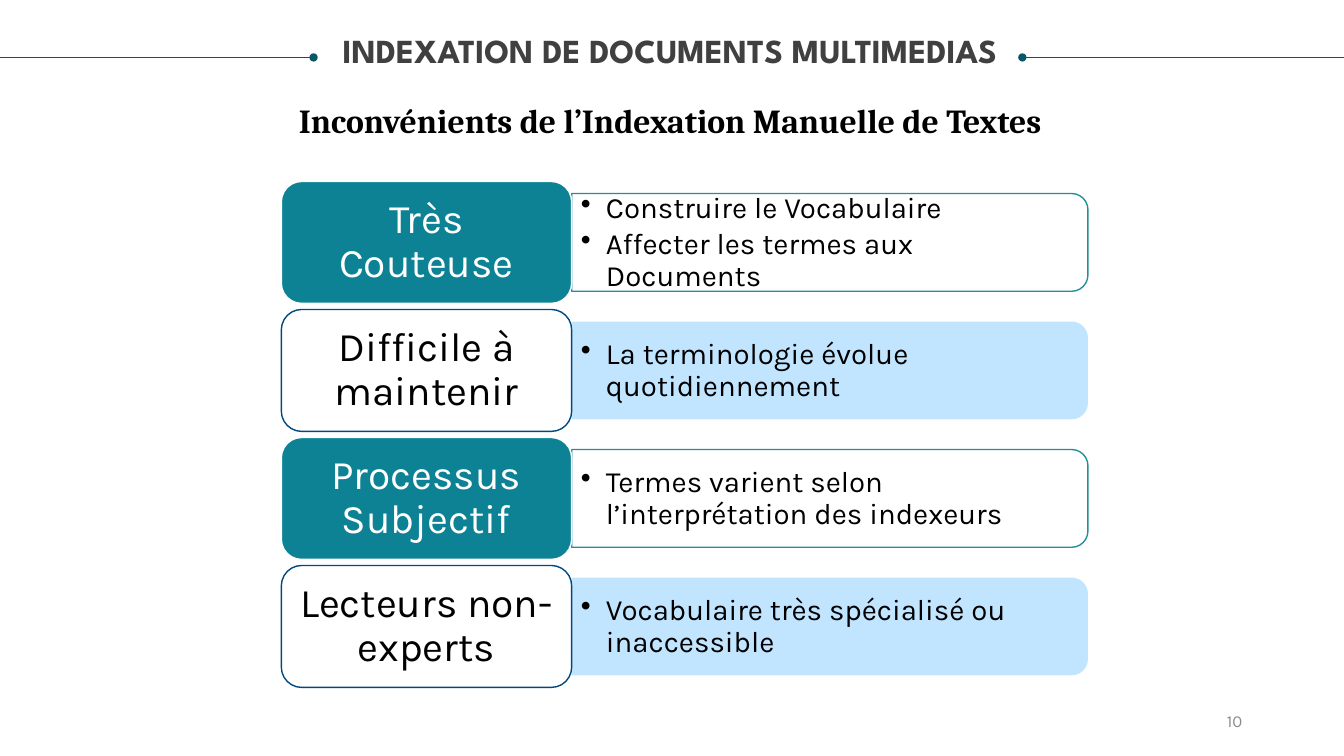
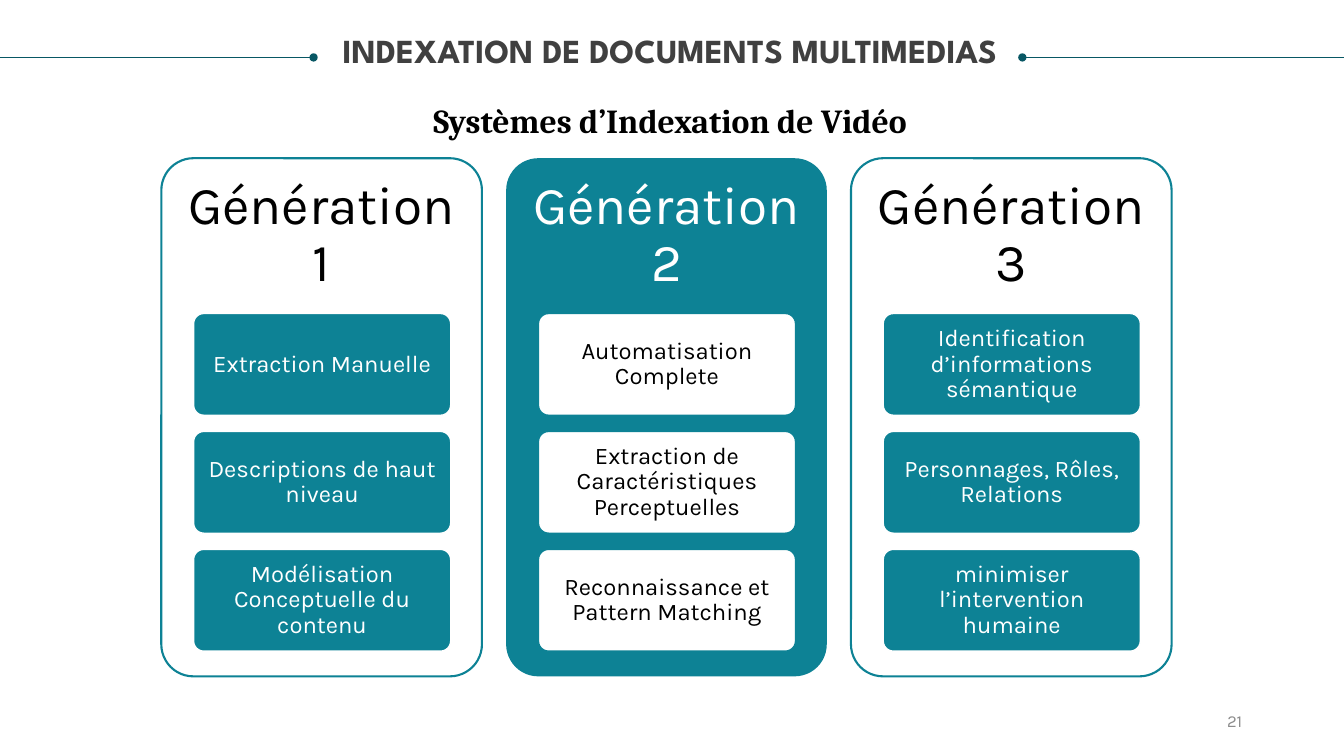
from lxml.etree import SubElement
from pptx import Presentation
from pptx.dml.color import RGBColor
from pptx.enum.shapes import MSO_CONNECTOR as LINK, MSO_SHAPE as KIND
from pptx.enum.text import MSO_ANCHOR as ANCHOR, MSO_AUTO_SIZE as SIZE, PP_ALIGN as ALIGN
from pptx.oxml.ns import qn
from pptx.util import Inches, Pt

TEAL = RGBColor(0x0D, 0x82, 0x95)
DEEP = RGBColor(0x08, 0x57, 0x64)
NAVY = RGBColor(0x00, 0x49, 0x7F)
SKY = RGBColor(0xBB, 0xE2, 0xFF)
DARK = RGBColor(0x40, 0x40, 0x40)
GREY = RGBColor(0x8C, 0x8C, 0x8C)
BLACK = RGBColor(0, 0, 0)
WHITE = RGBColor(0xFF, 0xFF, 0xFF)
BODY = "Karla"


def draw(slide, kind, at, fill=None, line=None, width=1):
    """Add a shape; a missing fill or line colour leaves it empty."""
    shape = slide.shapes.add_shape(kind, *map(Inches, at))
    shape.shadow.inherit = False
    if fill is None:
        shape.fill.background()
    else:
        shape.fill.solid()
        shape.fill.fore_color.rgb = fill
    if line is None:
        shape.line.fill.background()
    else:
        shape.line.color.rgb = line
        shape.line.width = Pt(width)
    return shape


def write(shape, lines, size, color, font=BODY, bold=False, align=ALIGN.CENTER,
          anchor=ANCHOR.MIDDLE, pad=(0.1, 0.05, 0.1, 0.05), space=0.9, bullet=False):
    """Fill a shape with paragraphs; pad is left, top, right, bottom."""
    frame = shape.text_frame
    frame.word_wrap = True
    frame.auto_size = SIZE.NONE
    frame.vertical_anchor = anchor
    (frame.margin_left, frame.margin_top,
     frame.margin_right, frame.margin_bottom) = map(Inches, pad)
    frame.text = "\n".join(lines)
    for para in frame.paragraphs:
        if bullet:
            props = para._p.get_or_add_pPr()
            props.set("marL", str(Inches(0.25)))
            props.set("indent", str(-Inches(0.25)))
            SubElement(props, qn("a:buChar"), char="•")
            para.space_after = Pt(3)
        para.alignment = align
        para.line_spacing = space
        para.font.name = font
        para.font.size = Pt(size)
        para.font.bold = bold
        para.font.color.rgb = color


deck = Presentation()
deck.slide_width, deck.slide_height = Inches(13.33), Inches(7.5)

# Shared frame: header with its rules, title, page number
pages = []
for title, number in (("Inconvénients de l’Indexation Manuelle de Textes", "10"),
                      ("Systèmes d’Indexation de Vidéo", "21")):
    slide = deck.slides.add_slide(deck.slide_layouts[5])
    pages.append(slide)
    for start, end in ((0, 3.11), (13.33, 10.14)):
        rule = slide.shapes.add_connector(
            LINK.STRAIGHT, Inches(start), Inches(0.57), Inches(end), Inches(0.57))
        rule.line.color.rgb = DEEP
        rule.line.width = Pt(0.5)
        SubElement(rule.line._get_or_add_ln(), qn("a:tailEnd"), type="oval")
        SubElement(rule._element.spPr, qn("a:effectLst"))

    head = slide.shapes.add_textbox(*map(Inches, (0.23, 0.34, 12.83, 0.36)))
    write(head, ["INDEXATION DE DOCUMENTS MULTIMEDIAS"], 24, DARK, "League Spartan",
          bold=True, anchor=ANCHOR.TOP, pad=(0, 0, 0, 0))

    name = slide.shapes.title
    name.left, name.top, name.width, name.height = map(Inches, (0.9, 0.94, 11.49, 0.5))
    write(name, [title], 24, BLACK, "Cambria", bold=True, anchor=ANCHOR.TOP, space=1.0)

    foot = slide.shapes.add_textbox(*map(Inches, (9.42, 6.95, 3, 0.4)))
    write(foot, [number], 12, GREY, align=ALIGN.RIGHT, space=1.0)

# Slide 1: drawbacks, a label and a bar per row
flaws, video = pages
rows = (
    ("Très Couteuse", ["Construire le Vocabulaire", "Affecter les termes aux Documents"]),
    ("Difficile à maintenir", ["La terminologie évolue quotidiennement"]),
    ("Processus Subjectif", ["Termes varient selon l’interprétation des indexeurs"]),
    ("Lecteurs non-experts", ["Vocabulaire très spécialisé ou inaccessible"]),
)
styles = (  # label fill, line and text, then bar fill and line
    (TEAL, WHITE, WHITE, None, TEAL),
    (None, NAVY, BLACK, SKY, None),
)
long, thick = 5.12, 0.97
shift = (long - thick) / 2
for i, (label, points) in enumerate(rows):
    top = 1.8 + 1.27 * i
    fill, line, ink, tint, edge = styles[i % 2]
    # The bar is an upright shape turned a quarter
    bar = draw(flaws, KIND.ROUND_2_SAME_RECTANGLE,
               (5.67 + shift, top + 0.12 - shift, thick, long), tint, edge)
    bar.rotation = 90
    for shade in bar._element.spPr.iter(qn("a:srgbClr")):
        SubElement(shade, qn("a:alpha"), val="90000")
    note = flaws.shapes.add_textbox(*map(Inches, (5.67, top + 0.17, 5.08, 0.88)))
    write(note, points, 21, BLACK, align=ALIGN.LEFT,
          pad=(0.09, 0.04, 0.09, 0.04), bullet=True)
    tag = draw(flaws, KIND.ROUNDED_RECTANGLE, (2.79, top, 2.88, 1.21), fill, line)
    write(tag, [label], 29, ink, pad=(0.12, 0.06, 0.12, 0.06))

# Slide 2: three generations, a panel with three cards each
stages = (
    ("Génération 1", ("Extraction Manuelle", "Descriptions de haut niveau",
                      "Modélisation Conceptuelle du contenu")),
    ("Génération 2", ("Automatisation Complete",
                      "Extraction de Caractéristiques Perceptuelles",
                      "Reconnaissance et Pattern Matching")),
    ("Génération 3", ("Identification d’informations sémantique",
                      "Personnages, Rôles, Relations",
                      "minimiser l’intervention humaine")),
)
looks = (  # panel fill, line and text, then card fill, line and text
    (None, TEAL, BLACK, TEAL, WHITE, WHITE),
    (TEAL, None, WHITE, WHITE, TEAL, BLACK),
)
for i, (stage, cards) in enumerate(stages):
    left = 1.6 + 3.42 * i
    fill, line, ink, tint, edge, tone = looks[i % 2]
    panel = draw(video, KIND.ROUNDED_RECTANGLE, (left, 1.57, 3.18, 5.14), fill, line, 1.5)
    panel.adjustments[0] = 0.1
    write(panel, [stage], 38, ink, pad=(0.07, 0.07, 0.07, 3.67))
    for j, text in enumerate(cards):
        card = draw(video, KIND.ROUNDED_RECTANGLE,
                    (left + 0.32, 3.11 + 1.17 * j, 2.55, 1.01), tint, edge)
        card.adjustments[0] = 0.1
        write(card, [text], 17, tone, pad=(0.05, 0.04, 0.05, 0.04))

deck.save("out.pptx")
